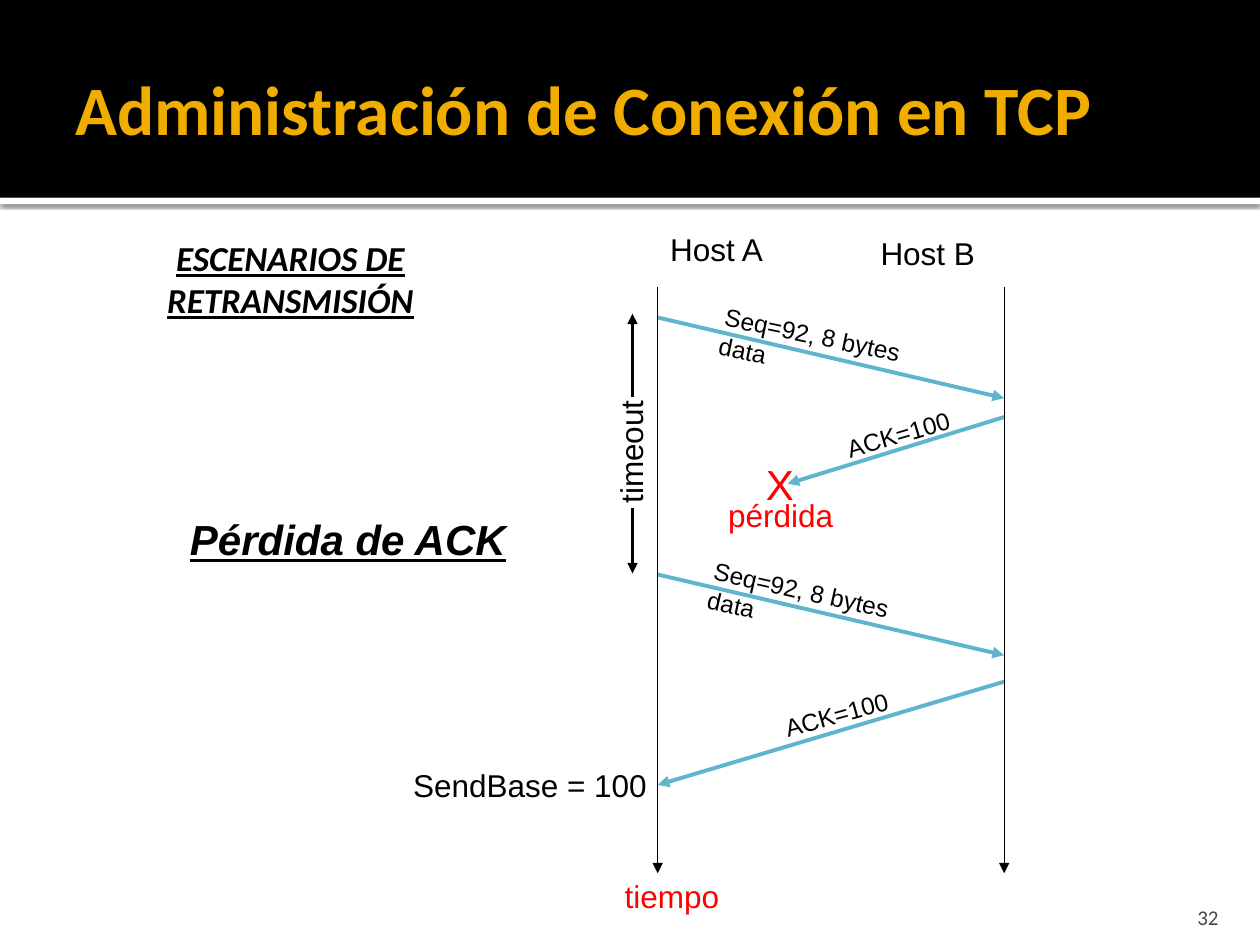
from lxml import etree
from pptx import Presentation
from pptx.dml.color import RGBColor
from pptx.enum.shapes import MSO_CONNECTOR, MSO_SHAPE
from pptx.enum.text import MSO_ANCHOR, PP_ALIGN
from pptx.oxml import parse_xml
from pptx.oxml.ns import qn
from pptx.util import Inches, Pt

LEFT, CENTER, RIGHT = PP_ALIGN.LEFT, PP_ALIGN.CENTER, PP_ALIGN.RIGHT
TOP, MIDDLE, BOTTOM = MSO_ANCHOR.TOP, MSO_ANCHOR.MIDDLE, MSO_ANCHOR.BOTTOM
STRAIGHT, RECTANGLE = MSO_CONNECTOR.STRAIGHT, MSO_SHAPE.RECTANGLE

WIDTH, HEIGHT = 10, 7.5
BAND_HEIGHT, RULE_HEIGHT = 1.57, 0.05
HOST_A, HOST_B = 5.22, 7.97
LIFE_START, LIFE_END = 2.28, 6.93
TIMEOUT = 5.02
LOST = (6.25, 3.84)

COLORS = {"black": "000000", "white": "FFFFFF", "gold": "F0AD00",
          "gray": "454545", "red": "FF0000", "blue": "60B5CC"}

STYLES = {
    "title": {"name": "Calibri", "size": 39.6, "color": "gold", "bold": True},
    "number": {"name": "Calibri", "size": 12, "color": "gray"},
    "label": {"name": "Arial", "size": 18, "color": "black"},
    "alert": {"name": "Arial", "size": 18, "color": "red"},
    "cross": {"name": "Arial", "size": 24, "color": "red"},
    "message": {"name": "Arial", "size": 14, "color": "black"},
    "case": {"name": "Arial", "size": 24, "color": "black",
             "bold": True, "italic": True, "underline": True},
    "heading": {"name": "Calibri", "size": 20, "color": "black",
                "bold": True, "italic": True, "underline": True},
}

# text, style, (left, top, width, height), further settings
TEXTS = [
    ("Administración de Conexión en TCP", "title", (0.5, 0.17, 9, 1.37),
     {"anchor": MIDDLE, "wrap": True}),
    ("32", "number", (8.97, 7.08, 0.8, 0.3),
     {"anchor": BOTTOM, "align": RIGHT, "wrap": True, "bottom": 0}),
    ("ESCENARIOS DE RETRANSMISIÓN", "heading", (0.94, 1.83, 2.73, 0.77),
     {"align": CENTER, "wrap": True}),
    ("Pérdida de ACK", "case", (1.41, 4.03, 2.73, 0.51), {}),
    ("Host A", "label", (5.22, 1.78, 0.95, 0.4), {}),
    ("Host B", "label", (6.89, 1.81, 0.96, 0.4), {}),
    ("timeout", "label", (4.49, 3.38, 1.03, 0.4), {"rotation": 270}),
    ("SendBase = 100", "label", (3.18, 6.03, 2.23, 0.4), {}),
    ("pérdida", "alert", (5.68, 3.89, 1.04, 0.4), {}),
    ("tiempo", "alert", (4.86, 6.91, 0.96, 0.4), {}),
    ("X", "cross", (5.98, 3.59, 0.42, 0.5), {}),
    ("Seq=92, 8 bytes data", "message", (5.64, 2.53, 2.02, 0.33),
     {"rotation": 11.8, "wrap": True}),
    ("ACK=100", "message", (6.61, 3.28, 1.04, 0.33), {"rotation": 343.6}),
    ("Seq=92, 8 bytes data", "message", (5.55, 4.56, 2.02, 0.33),
     {"rotation": 12.8, "wrap": True}),
    ("ACK=100", "message", (6.12, 5.5, 1.06, 0.33), {"rotation": 344.6}),
]

# start, end, colour, line width
ARROWS = [
    ((HOST_A, 2.52), (HOST_B, 3.16), "blue", 2.25),
    ((HOST_B, 3.31), LOST, "blue", 2.25),
    ((HOST_A, 4.56), (HOST_B, 5.2), "blue", 2.25),
    ((HOST_B, 5.41), (HOST_A, 6.23), "blue", 2.25),
    ((HOST_A, LIFE_START), (HOST_A, LIFE_END), "black", 0.75),
    ((HOST_B, LIFE_START), (HOST_B, LIFE_END), "black", 0.75),
    ((TIMEOUT, 3.15), (TIMEOUT, 2.49), "black", 1.5),
    ((TIMEOUT, 4.03), (TIMEOUT, 4.55), "black", 1.5),
]

SHADOW = (
    '<a:effectLst xmlns:a="http://schemas.openxmlformats.org/drawingml/2006/main">'
    '<a:outerShdw blurRad="31750" dist="10160" dir="5400000" algn="tl" rotWithShape="0">'
    '<a:srgbClr val="000000"><a:alpha val="60000"/></a:srgbClr>'
    '</a:outerShdw></a:effectLst>'
)


def color(name):
    return RGBColor.from_string(COLORS[name])


def add_band(page, top, height, fill):
    band = page.shapes.add_shape(RECTANGLE, 0, Inches(top), Inches(WIDTH), Inches(height))
    band.shadow.inherit = False
    band.fill.solid()
    band.fill.fore_color.rgb = color(fill)
    band.line.fill.background()
    return band


def add_text(page, text, style, place, anchor=TOP, align=LEFT, wrap=False,
             rotation=0, bottom=0.05):
    box = page.shapes.add_textbox(*map(Inches, place))
    box.rotation = rotation
    frame = box.text_frame
    frame.word_wrap = wrap
    frame.vertical_anchor = anchor
    frame.margin_bottom = Inches(bottom)
    para = frame.paragraphs[0]
    para.alignment = align
    span = para.add_run()
    span.text = text
    for key, value in STYLES[style].items():
        if key == "color":
            span.font.color.rgb = color(value)
        else:
            setattr(span.font, key, Pt(value) if key == "size" else value)


def add_arrow(page, start, end, stroke, width):
    arrow = page.shapes.add_connector(STRAIGHT, *map(Inches, start + end))
    arrow.line.color.rgb = color(stroke)
    arrow.line.width = Pt(width)
    properties = arrow.line._get_or_add_ln()
    etree.SubElement(properties, qn("a:tailEnd"), type="triangle")
    etree.SubElement(properties.getparent(), qn("a:effectLst"))


def main():
    deck = Presentation()
    deck.slide_width, deck.slide_height = Inches(WIDTH), Inches(HEIGHT)
    page = deck.slides.add_slide(deck.slide_layouts[6])
    page.background.fill.solid()
    page.background.fill.fore_color.rgb = color("white")

    rule = add_band(page, BAND_HEIGHT, RULE_HEIGHT, "white")
    properties = rule.fill._xPr
    properties.replace(properties.find(qn("a:effectLst")), parse_xml(SHADOW))
    add_band(page, 0, BAND_HEIGHT, "black")

    for arrow in ARROWS:
        add_arrow(page, *arrow)
    for text, style, place, settings in TEXTS:
        add_text(page, text, style, place, **settings)
    deck.save("out.pptx")


if __name__ == "__main__":
    main()
